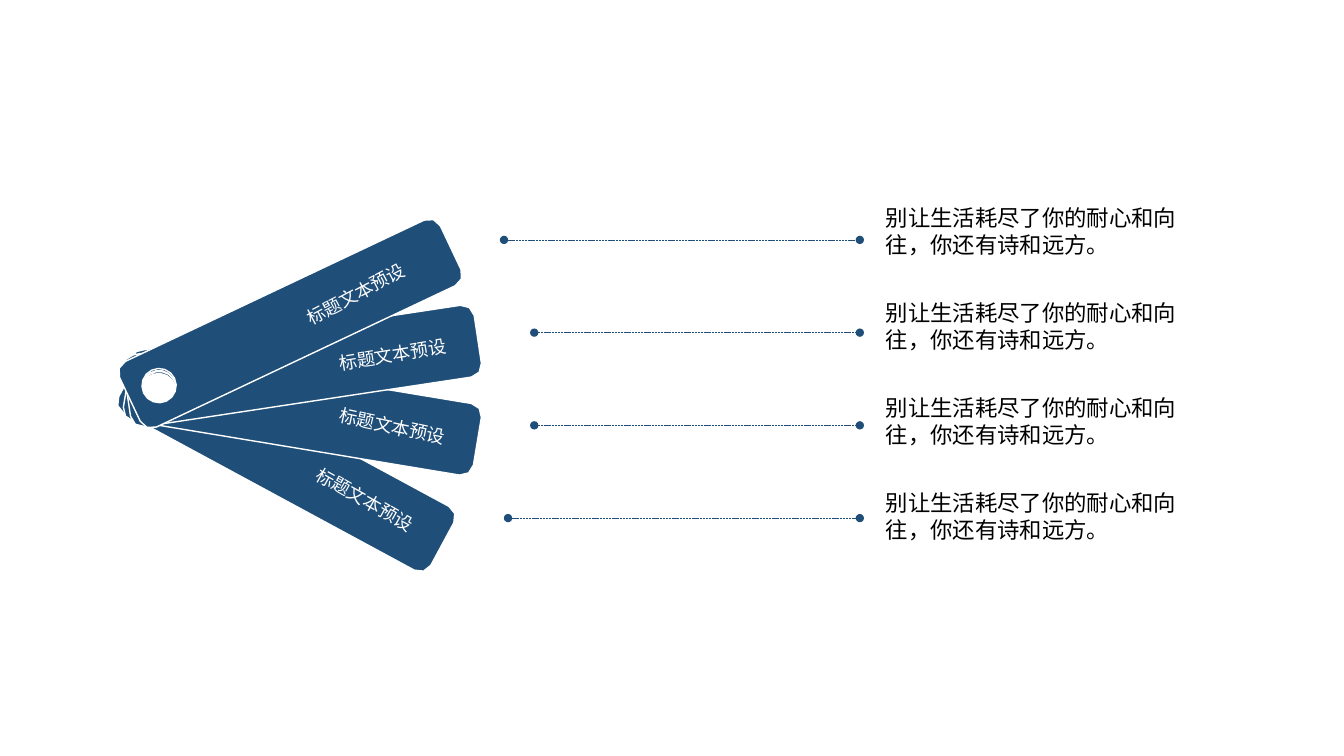
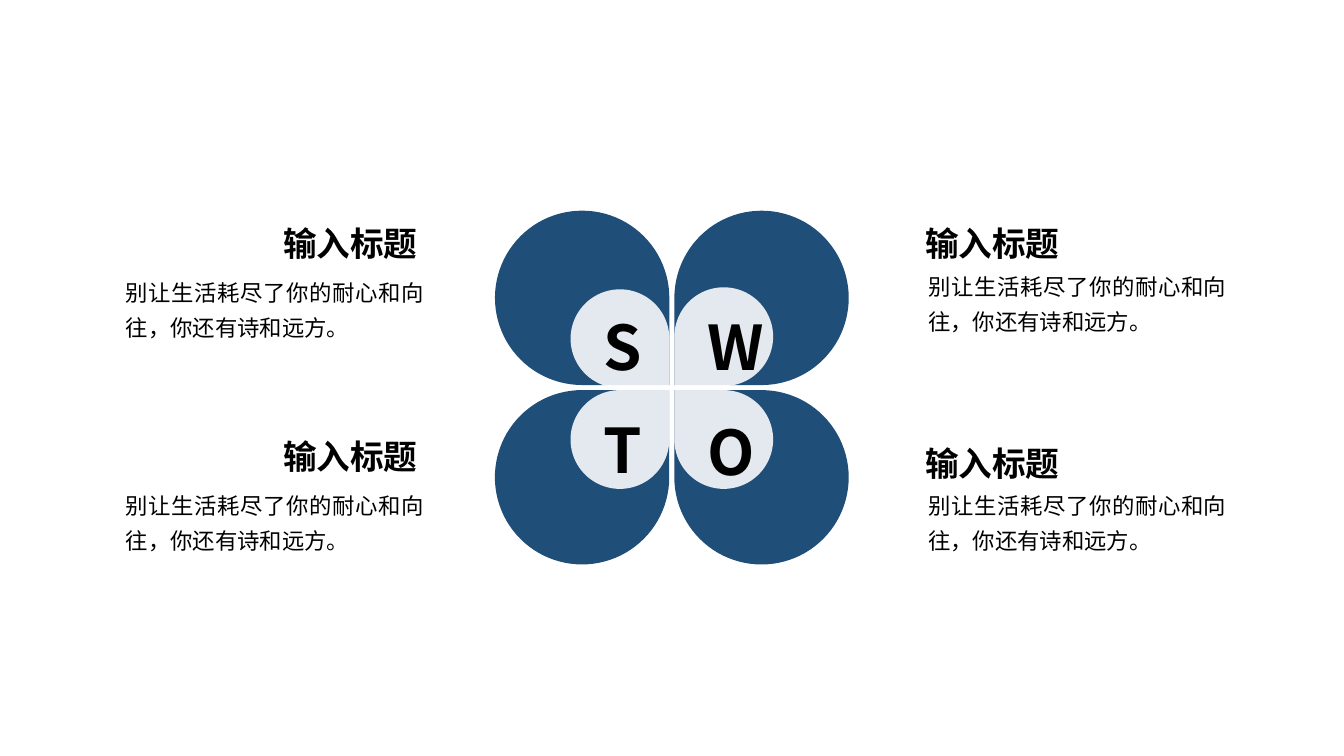
from math import cos, pi, sin

from lxml.etree import SubElement
from pptx import Presentation
from pptx.dml.color import RGBColor
from pptx.enum.dml import MSO_LINE
from pptx.enum.shapes import MSO_CONNECTOR, MSO_SHAPE
from pptx.enum.text import MSO_ANCHOR, MSO_AUTO_SIZE, PP_ALIGN
from pptx.oxml.ns import qn
from pptx.util import Inches, Pt

BLUE = RGBColor(0x1F, 0x4E, 0x79)
WHITE = RGBColor(0xFF, 0xFF, 0xFF)
BLACK = RGBColor(0x00, 0x00, 0x00)
SANS = "Noto Sans CJK JP"
LETTER = "Noto Sans CJK SC"
QUOTE = "别让生活耗尽了你的耐心和向往，你还有诗和远方。"


def write(slide, text, x, y, w, h, size=16, font=SANS, color=BLACK, bold=False,
          align=PP_ALIGN.LEFT, space=None, wrap=True, inset=True, turn=0, fill=None):
    place = [Inches(v) for v in (x, y, w, h)]
    if fill is None:
        box = slide.shapes.add_textbox(*place)
        box.text_frame.auto_size = MSO_AUTO_SIZE.SHAPE_TO_FIT_TEXT
    else:
        box = slide.shapes.add_shape(MSO_SHAPE.RECTANGLE, *place)
        box.shadow.inherit = False
        box.fill.solid()
        box.fill.fore_color.rgb = fill
        box.line.fill.background()
    box.rotation = turn
    frame = box.text_frame
    frame.word_wrap = wrap
    frame.vertical_anchor = MSO_ANCHOR.TOP
    if not inset:
        frame.margin_left = frame.margin_right = 0
        frame.margin_top = frame.margin_bottom = 0
    para = frame.paragraphs[0]
    para.alignment = align
    if space:
        para.line_spacing = space
    run = para.add_run()
    run.text = text
    run.font.size = Pt(size)
    run.font.bold = bold
    run.font.color.rgb = color
    run.font.name = font
    SubElement(run.font._element, qn("a:ea")).set("typeface", font)


def arc(x, y, r, start, sweep, steps):
    turns = [start + sweep * i / steps for i in range(steps + 1)]
    return [(Inches(x + r * cos(a)), Inches(y + r * sin(a))) for a in turns]


deck = Presentation()
deck.slide_width = Inches(40 / 3)
deck.slide_height = Inches(7.5)
blank = deck.slide_layouts[6]

# Slide 1: fan of blades, bottom blade first
fan = deck.slides.add_slide(blank)
LONG, HIGH, ROUND, HOLE = 3.52, 0.72, 0.12, 0.17
for x, y, turn in [(1.08, 4.2, 28.4), (1.24, 3.73, 9.4),
                   (1.24, 3.27, 351.4), (1.12, 2.85, 334.7)]:
    left, right = x + ROUND, x + LONG - ROUND
    top, base = y + ROUND, y + HIGH - ROUND
    rim = []
    for i, (cx, cy) in enumerate([(left, top), (right, top), (right, base), (left, base)]):
        rim += arc(cx, cy, ROUND, pi + i * pi / 2, pi / 2, 2)
    hole = arc(x + 0.32, y + HIGH / 2, HOLE, 0, -2 * pi, 16)[:-1]
    path = fan.shapes.build_freeform(*rim[0])
    path.add_line_segments(rim[1:], close=True)
    path.move_to(*hole[0])
    path.add_line_segments(hole[1:], close=True)
    blade = path.convert_to_shape()
    blade.shadow.inherit = False
    blade.fill.solid()
    blade.fill.fore_color.rgb = BLUE
    blade.line.color.rgb = WHITE
    blade.line.width = Pt(1)
    blade.rotation = turn

# Blade labels
for x, y, turn in [(2.95, 2.77, 332.3), (3.31, 3.38, 350.9),
                   (3.3, 4.1, 12), (3.02, 4.83, 29.4)]:
    write(fan, "标题文本预设", x, y, 1.22, 0.31, size=12.9, color=WHITE,
          align=PP_ALIGN.RIGHT, space=0.9, wrap=False, turn=turn, fill=BLUE)

# Dotted leaders and their texts
for i, x in enumerate([5, 5.3, 5.3, 5.04]):
    y = Inches(2.38 + 0.92 * i)
    lead = fan.shapes.add_connector(MSO_CONNECTOR.STRAIGHT, Inches(x), y, Inches(8.53), y)
    lead.line.color.rgb = BLUE
    lead.line.width = Pt(0.5)
    lead.line.dash_style = MSO_LINE.SQUARE_DOT
    for end in ("a:headEnd", "a:tailEnd"):
        SubElement(lead.line._get_or_add_ln(), qn(end)).set("type", "oval")
    SubElement(lead._element.spPr, qn("a:effectLst"))
    write(fan, QUOTE, 8.69, 1.98 + 0.94 * i, 3.15, 0.64)

# Slide 2: SWOT petals, each pointing to the centre
swot = deck.slides.add_slide(blank)
BIG, SMALL = 1.73, 0.98
WEST, EAST, NORTH, SOUTH = 6.64, 6.69, 3.82, 3.87
# letter, turn, at left, at top, small petal top, letter left and top
petals = [("S", 90, True, True, 2.87, 5.89, 2.65),
          ("W", 180, False, True, 2.85, 6.92, 2.65),
          ("T", 0, True, False, SOUTH, 5.89, 3.67),
          ("O", 270, False, False, SOUTH, 6.92, 3.69)]
for letter, turn, west, north, inner, tx, ty in petals:
    for size, fill, y in [(BIG, BLUE, NORTH - BIG if north else SOUTH),
                          (SMALL, WHITE, inner)]:
        x = WEST - size if west else EAST
        drop = swot.shapes.add_shape(MSO_SHAPE.TEAR, Inches(x), Inches(y),
                                     Inches(size), Inches(size))
        drop.rotation = turn
        drop.shadow.inherit = False
        drop.line.fill.background()
        drop.fill.solid()
        drop.fill.fore_color.rgb = fill
        if fill == WHITE:
            tint = drop._element.spPr.find(qn("a:solidFill"))[0]
            SubElement(tint, qn("a:alpha")).set("val", "88000")
    write(swot, letter, tx, ty, 0.51, 1.04, size=44, font=LETTER, bold=True, space=1.5)

# Headings and texts beside the petals
for hx, hy, x, y in [(2.71, 2.16, 1.25, 2.69), (2.71, 4.28, 1.25, 4.8),
                     (9.08, 2.16, 9.21, 2.63), (9.08, 4.34, 9.21, 4.8)]:
    write(swot, "输入标题", hx, hy, 1.55, 0.5, size=24, bold=True, align=PP_ALIGN.JUSTIFY)
    write(swot, QUOTE, x, y, 2.96, 0.66, align=PP_ALIGN.JUSTIFY, space=1.3, inset=False)

deck.save("out.pptx")
